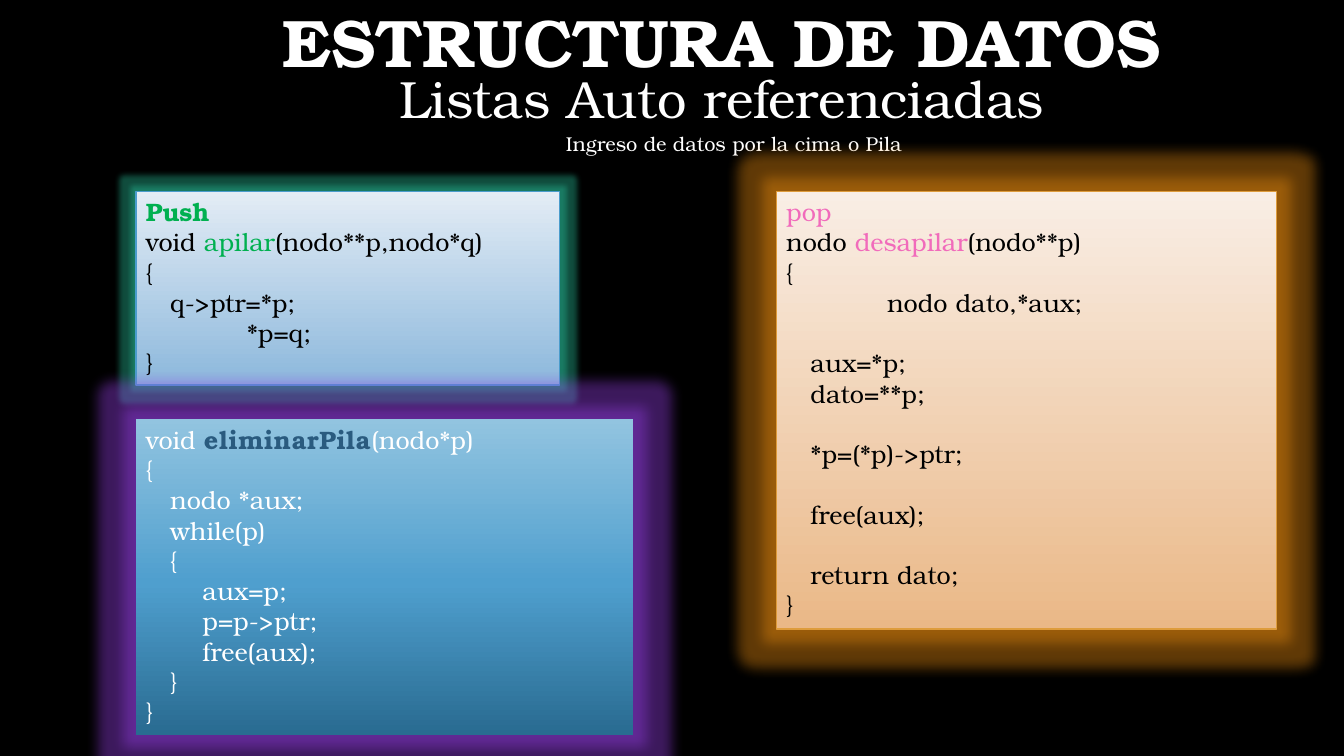
from lxml import etree
from pptx import Presentation
from pptx import util as u
from pptx.dml.color import RGBColor
from pptx.enum import shapes, text
from pptx.oxml.ns import qn

FONT = "TeX Gyre Bonum"
COLORS = {
    "background": "000000", "white": "FFFFFF", "black": "000000",
    "green": "00B050", "pink": "F16BBB", "navy": "2A5B7F",
    "blue_line": "4A9CCC", "orange_line": "DE9C3C",
    "green_glow": "28C09A", "orange_glow": "F09010", "purple_glow": "9840E8",
}
CODE_LINE = 21.6  # height of one line of code, in points
INDENTS = [0, 0.24, 0.56, 1]  # inches per indent level

# Each code line: (indent level, blank lines before, [(words, colour, bold)])
PUSH = [
    (0, 0, [("Push", "green", True)]),
    (0, 0, [("void ", "black", False), ("apilar", "green", False),
            ("(nodo**p,nodo*q)", "black", False)]),
    (0, 0, [("{", "black", False)]),
    (1, 0, [("q->ptr=*p;", "black", False)]),
    (3, 0, [("*p=q;", "black", False)]),
    (0, 0, [("}", "black", False)]),
]
POP = [
    (0, 0, [("pop", "pink", False)]),
    (0, 0, [("nodo ", "black", False), ("desapilar", "pink", False),
            ("(nodo**p)", "black", False)]),
    (0, 0, [("{", "black", False)]),
    (3, 0, [("nodo dato,*aux;", "black", False)]),
    (1, 1, [("aux=*p;", "black", False)]),
    (1, 0, [("dato=**p;", "black", False)]),
    (1, 1, [("*p=(*p)->ptr;", "black", False)]),
    (1, 1, [("free(aux);", "black", False)]),
    (1, 1, [("return dato;", "black", False)]),
    (0, 0, [("}", "black", False)]),
]
CLEAR = [
    (0, 0, [("void ", "white", False), ("eliminarPila", "navy", True),
            ("(nodo*p)", "white", False)]),
] + [(level, 0, [(words, "white", False)]) for level, words in [
    (0, "{"), (1, "nodo *aux;"), (1, "while(p)"), (1, "{"), (2, "aux=p;"),
    (2, "p=p->ptr;"), (2, "free(aux);"), (1, "}"), (0, "}")]]


def color(name):
    return RGBColor.from_string(COLORS[name])


def inches(box):
    return [u.Inches(length) for length in box]


def format_run(run, size, color_name, bold=False):
    run.font.name = FONT
    run.font.size = u.Pt(size)
    run.font.bold = bold
    run.font.color.rgb = color(color_name)


def add_heading(shape, box, words, size, spacing, before=0, bold=False,
                anchor=text.MSO_ANCHOR.TOP):
    """Place one centred white heading line in its box."""
    shape.left, shape.top, shape.width, shape.height = inches(box)
    frame = shape.text_frame
    frame.text = words
    frame.word_wrap = True
    frame.auto_size = text.MSO_AUTO_SIZE.NONE
    frame.vertical_anchor = anchor
    paragraph = frame.paragraphs[0]
    paragraph.alignment = text.PP_ALIGN.CENTER
    paragraph.line_spacing = spacing
    paragraph.space_before = u.Pt(before)
    format_run(paragraph.runs[0], size, "white", bold)


def set_gradient(shape, stops):
    """Fill from top to bottom with (percent, hex) stops."""
    shape.fill.gradient()
    shape.fill.gradient_angle = 270
    stop_list = shape.element.spPr.find(".//" + qn("a:gsLst"))
    for stop in list(stop_list):
        stop_list.remove(stop)
    for percent, value in stops:
        stop = etree.SubElement(stop_list, qn("a:gs"), pos=str(percent * 1000))
        etree.SubElement(stop, qn("a:srgbClr"), val=value)


def set_glow(shape, color_name, radius):
    shape.shadow.inherit = False
    effects = shape.element.spPr.find(qn("a:effectLst"))
    glow = etree.SubElement(effects, qn("a:glow"), rad=str(u.Pt(radius)))
    tint = etree.SubElement(glow, qn("a:srgbClr"), val=COLORS[color_name])
    etree.SubElement(tint, qn("a:alpha"), val="40000")


def add_code_panel(slide, box, lines, stops, glow, radius, line_color=None):
    """Draw a glowing panel and write its lines of code."""
    panel = slide.shapes.add_shape(shapes.MSO_SHAPE.RECTANGLE, *inches(box))
    set_gradient(panel, stops)
    if line_color:
        panel.line.color.rgb = color(line_color)
        panel.line.width = u.Pt(1)
    else:
        panel.line.fill.background()
    set_glow(panel, glow, radius)

    frame = panel.text_frame
    frame.word_wrap = True
    frame.vertical_anchor = text.MSO_ANCHOR.TOP
    for number, (level, blanks, parts) in enumerate(lines):
        paragraph = frame.paragraphs[0] if number == 0 else frame.add_paragraph()
        paragraph.alignment = text.PP_ALIGN.LEFT
        paragraph.space_before = u.Pt(blanks * CODE_LINE)
        properties = paragraph._p.get_or_add_pPr()
        properties.set("marL", str(u.Inches(INDENTS[level])))
        properties.set("indent", "0")
        for words, color_name, bold in parts:
            run = paragraph.add_run()
            run.text = words
            format_run(run, 18, color_name, bold)
            if color_name == "navy":
                run.font._element.set("spc", "50")


def add_headings(slide):
    add_heading(slide.shapes.title, (2.16, 0, 10, 0.86), "ESTRUCTURA DE DATOS",
                48, 0.9, bold=True, anchor=text.MSO_ANCHOR.BOTTOM)
    for box, words, size, spacing in [
        ((3.81, 0.73, 6.7, 0.68), "Listas Auto referenciadas", 37.4, 0.8),
        ((5.23, 1.32, 4.1, 0.35), "Ingreso de datos por la cima o Pila", 14.3, 0.7),
    ]:
        shape = slide.shapes.add_textbox(*inches(box))
        add_heading(shape, box, words, size, spacing, before=10)


def main():
    presentation = Presentation()
    presentation.slide_width = u.Inches(13.33)
    presentation.slide_height = u.Inches(7.5)
    slide = presentation.slides.add_slide(presentation.slide_layouts[5])
    slide.background.fill.solid()
    slide.background.fill.fore_color.rgb = color("background")

    add_headings(slide)

    # Code panels: two in the left column, one on the right
    left, top = 1.35, 1.9
    add_code_panel(slide, (7.7, top, 4.96, 4.34), POP,
                   [(0, "F9EEE5"), (100, "EAB887")],
                   "orange_glow", 18, "orange_line")
    add_code_panel(slide, (left, top, 4.2, 1.92), PUSH,
                   [(0, "E3ECF5"), (100, "8CB8DC")],
                   "green_glow", 8, "blue_line")
    add_code_panel(slide, (left, 4.16, 4.93, 3.13), CLEAR,
                   [(0, "92C4E0"), (52, "4F9FCE"), (100, "296B91")],
                   "purple_glow", 18)

    presentation.save("out.pptx")


if __name__ == "__main__":
    main()
